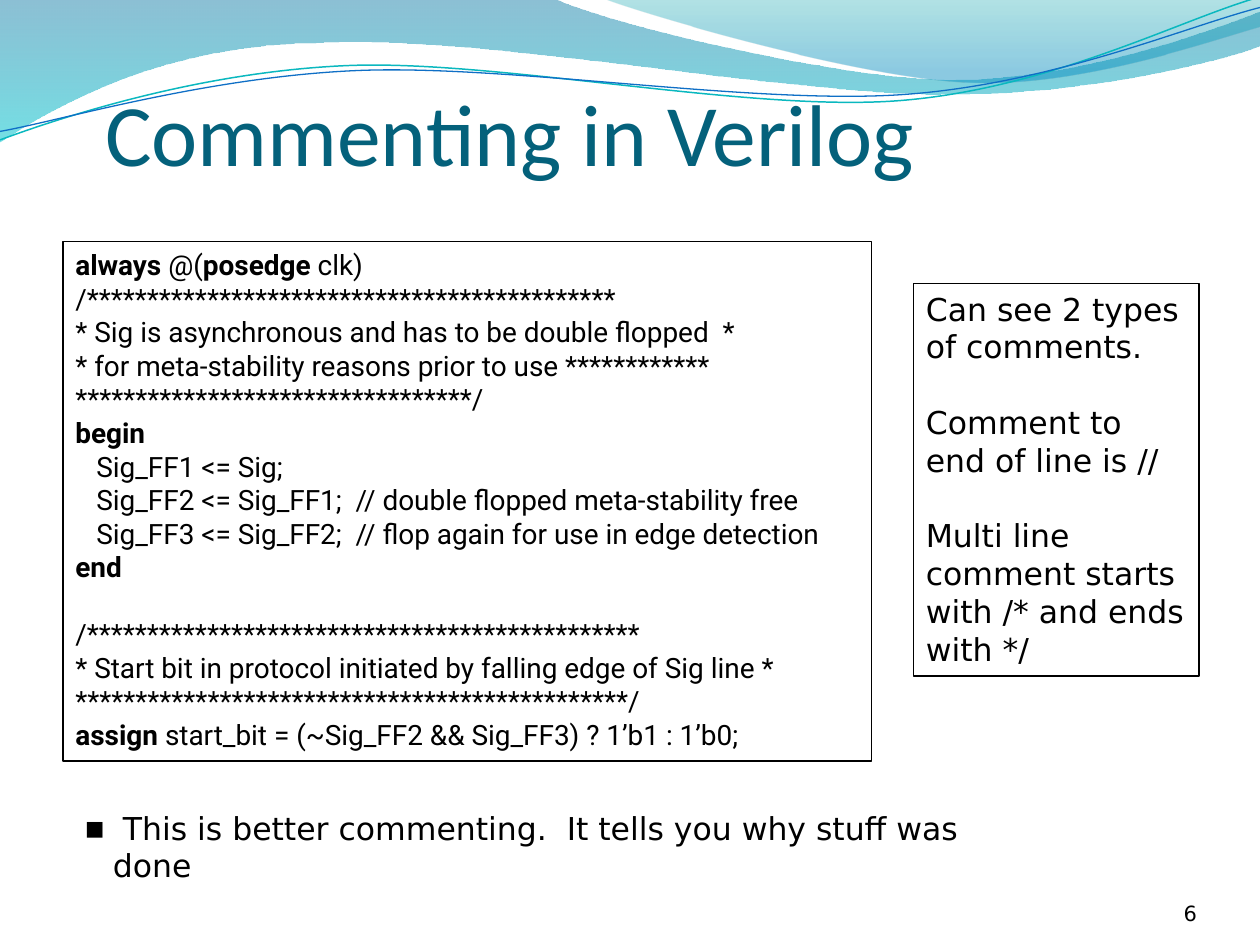
from lxml import etree
from pptx import Presentation
from pptx.dml.color import RGBColor
from pptx.enum.shapes import MSO_SHAPE
from pptx.enum.text import MSO_ANCHOR, MSO_AUTO_SIZE, PP_ALIGN
from pptx.oxml.ns import qn
from pptx.util import Pt

RECT = MSO_SHAPE.RECTANGLE
TOP, BOTTOM = MSO_ANCHOR.TOP, MSO_ANCHOR.BOTTOM
LEFT, RIGHT = PP_ALIGN.LEFT, PP_ALIGN.RIGHT
NO_FIT = MSO_AUTO_SIZE.NONE

THEME = {
    "title": ("Calibri", 50, "04617B"),
    "code": ("Roboto", 16, "000000"),
    "body": ("DejaVu Sans", 18, "000000"),
    "number": ("DejaVu Sans", 12, "000000"),
    "border": "000000",
    "wave_left": [(0, "0074A1", 45), (1, "00C6CF", 55)],
    "wave_right": [(0, "00A1A9", 30), (0.8, "008BBF", 45)],
    "line_teal": "0AB8BF",
    "line_blue": "0F6FC6",
}


def style(p, role, align=LEFT):
    name, size, color = THEME[role]
    p.alignment = align
    for r in p.runs:
        r.font.name = name
        r.font.size = Pt(size)
        r.font.color.rgb = RGBColor.from_string(color)


def add_curve(start, segments, closed):
    points = [seg[i:i + 2] for seg in segments for i in range(0, len(seg), 2)]
    builder = s.shapes.build_freeform(Pt(start[0]), Pt(start[1]))
    builder.add_line_segments([(Pt(x), Pt(y)) for x, y in points], close=closed)
    sp = builder.convert_to_shape()
    sp.shadow.inherit = False
    steps = iter(list(sp._element.spPr.iter(qn("a:lnTo"))))
    for seg in segments:
        first = next(steps)
        if len(seg) == 6:
            first.tag_name = None
            curve = etree.Element(qn("a:cubicBezTo"))
            first.addprevious(curve)
            for step in (first, next(steps), next(steps)):
                curve.append(step[0])
                step.getparent().remove(step)
    return sp


prs = Presentation()
prs.slide_width, prs.slide_height = Pt(720), Pt(540)
s = prs.slides.add_slide(prs.slide_layouts[5])

waves = [
    ("wave_left", (0, -0.7), [
        (316.8, -0.7), (342.7, 12.2, 478, 45.4, 545.8, 45.4),
        (614.2, 45.4, 689.8, 18.7, 720, 6.5), (720.7, 25.9),
        (707.8, 31.7, 626.4, 54.7, 537.1, 54), (447.8, 54, 275, 20.2, 185, 24.5),
        (92.9, 25.2, 33.1, 59.8, -0.7, 81.4)]),
    ("wave_right", (344.9, -0.7), [
        (366.5, 7.9, 491, 44.6, 553.7, 46.8), (616.3, 49.7, 691.9, 23, 720, 15.1),
        (720, 0)]),
]
for role, start, segments in waves:
    sp = add_curve(start, segments, True)
    sp.line.fill.background()
    sp.fill.gradient()
    sp.fill.gradient_angle = 270
    for stop, (position, color, opacity) in zip(sp.fill.gradient_stops, THEME[role]):
        stop.position = position
        stop.color.rgb = RGBColor.from_string(color)
    for clr, (_, _, opacity) in zip(sp._element.spPr.iter(qn("a:srgbClr")), THEME[role]):
        etree.SubElement(clr, qn("a:alpha"), val=str(opacity * 1000))

lines = [
    ("line_teal", 0.85, (-1.4, 63), [
        (34.2, 51.7, 114.3, 29.4, 199.4, 29.9), (284.4, 30.5, 425.8, 67.2, 512, 64.8),
        (599.2, 62.3, 676, 25.9, 720.6, 15.5)]),
    ("line_blue", 0.75, (-1.1, 58.1), [
        (33.2, 53.7, 118.2, 32.6, 204.3, 33), (290.4, 33.4, 429.1, 63.3, 515.3, 61.4),
        (601.4, 59.4, 679, 30, 721.4, 21.3)]),
]
for role, width, start, segments in lines:
    sp = add_curve(start, segments, False)
    sp.rotation = 357.3
    sp.fill.background()
    sp.line.color.rgb = RGBColor.from_string(THEME[role])
    sp.line.width = Pt(width)

title = s.shapes.title
s.shapes._spTree.append(title._element)
title.left, title.top, title.width, title.height = Pt(60), Pt(15), Pt(516), Pt(90)
tf = title.text_frame
tf.text = "Commenting in Verilog"
tf.auto_size = NO_FIT
tf.vertical_anchor = BOTTOM
tf.margin_left = tf.margin_right = tf.margin_bottom = 0
style(tf.paragraphs[0], "title")

number = s.shapes.add_textbox(Pt(624), Pt(500), Pt(60), Pt(29))
tf = number.text_frame
tf.text = "6"
tf.word_wrap = True
tf.vertical_anchor = BOTTOM
tf.margin_left = tf.margin_top = tf.margin_right = tf.margin_bottom = 0
style(tf.paragraphs[0], "number", RIGHT)

code = [
    (0, 0, [("always", True), (" @(", False), ("posedge ", True), ("clk)", False)]),
    (0, 0, [("/" + "*" * 44, False)]),
    (0, 0, [("* Sig is asynchronous and has to be double flopped  *", False)]),
    (0, 0, [("* for meta-stability reasons prior to use " + "*" * 12, False)]),
    (0, 0, [("*" * 33 + "/", False)]),
    (0, 0, [("begin", True)]),
    (12, 0, [("Sig_FF1 <= Sig;", False)]),
    (12, 0, [("Sig_FF2 <= Sig_FF1;  // double flopped meta-stability free", False)]),
    (12, 0, [("Sig_FF3 <= Sig_FF2;  // flop again for use in edge detection", False)]),
    (0, 0, [("end", True)]),
    (0, 19, [("/" + "*" * 46, False)]),
    (0, 0, [("* Start bit in protocol initiated by falling edge of Sig line *", False)]),
    (0, 0, [("*" * 46 + "/", False)]),
    (0, 0, [("assign ", True),
            ("start_bit = (~Sig_FF2 && Sig_FF3) ? 1’b1 : 1’b0;", False)]),
]
remarks = [
    (0, 0, [("Can see 2 types", False)]),
    (0, 0, [("of comments.", False)]),
    (0, 21.6, [("Comment to end of line is //", False)]),
    (0, 21.6, [("Multi line comment starts with /* and ends with */", False)]),
]
boxes = [("code", (36, 138, 462, 297), code), ("body", (522, 162, 163, 224.5), remarks)]
for role, place, paragraphs in boxes:
    sp = s.shapes.add_shape(RECT, *map(Pt, place))
    sp.shadow.inherit = False
    sp.fill.background()
    sp.line.color.rgb = RGBColor.from_string(THEME["border"])
    sp.line.width = Pt(1)
    tf = sp.text_frame
    tf.word_wrap = True
    tf.vertical_anchor = TOP
    for i, (indent, gap, runs) in enumerate(paragraphs):
        p = tf.paragraphs[0] if i == 0 else tf.add_paragraph()
        p.space_before = Pt(gap)
        p._p.get_or_add_pPr().set("marL", str(Pt(indent)))
        for text, bold in runs:
            r = p.add_run()
            r.text = text
            r.font.bold = bold
        style(p, role)

note = s.shapes.add_textbox(Pt(41), Pt(458.5), Pt(565), Pt(29))
tf = note.text_frame
tf.word_wrap = True
tf.margin_right = Pt(20)
p = tf.paragraphs[0]
p.text = " This is better commenting.  It tells you why stuff was done"
style(p, "body")
pPr = p._p.get_or_add_pPr()
pPr.set("marL", str(Pt(16.5)))
pPr.set("indent", str(-Pt(16.5)))
etree.SubElement(pPr, qn("a:buFont"), typeface=THEME["body"][0])
etree.SubElement(pPr, qn("a:buChar"), char="▪")

prs.save("out.pptx")
